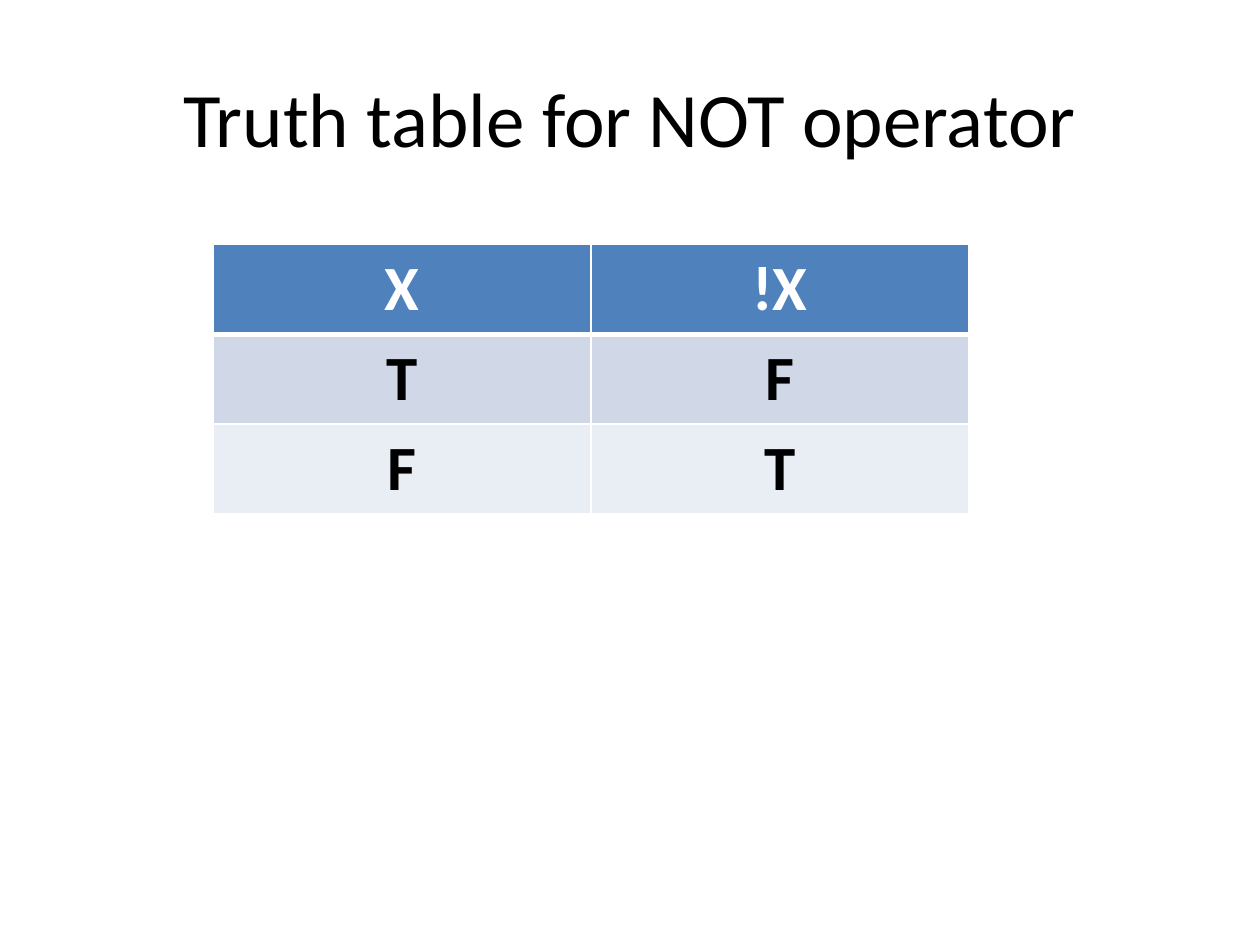
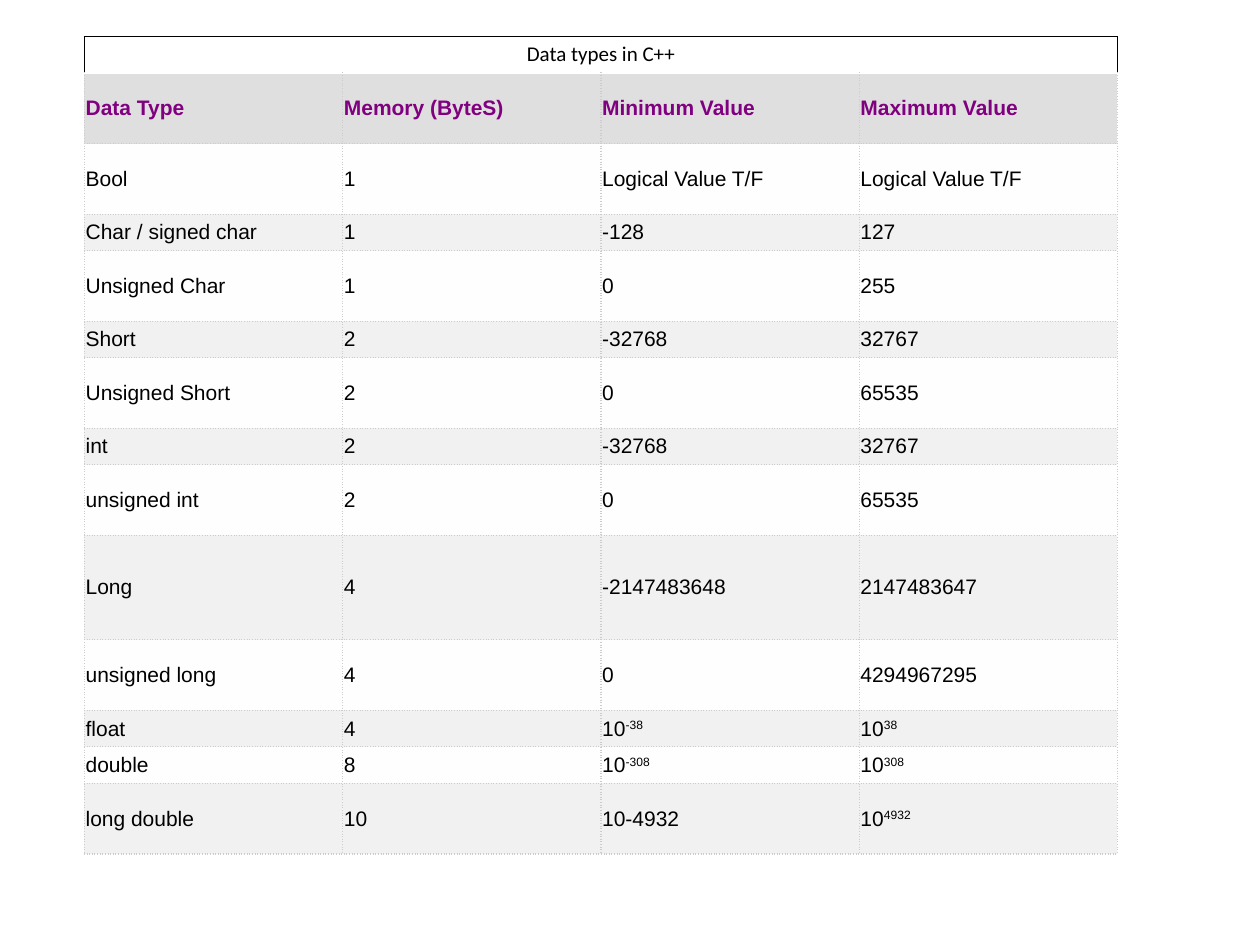
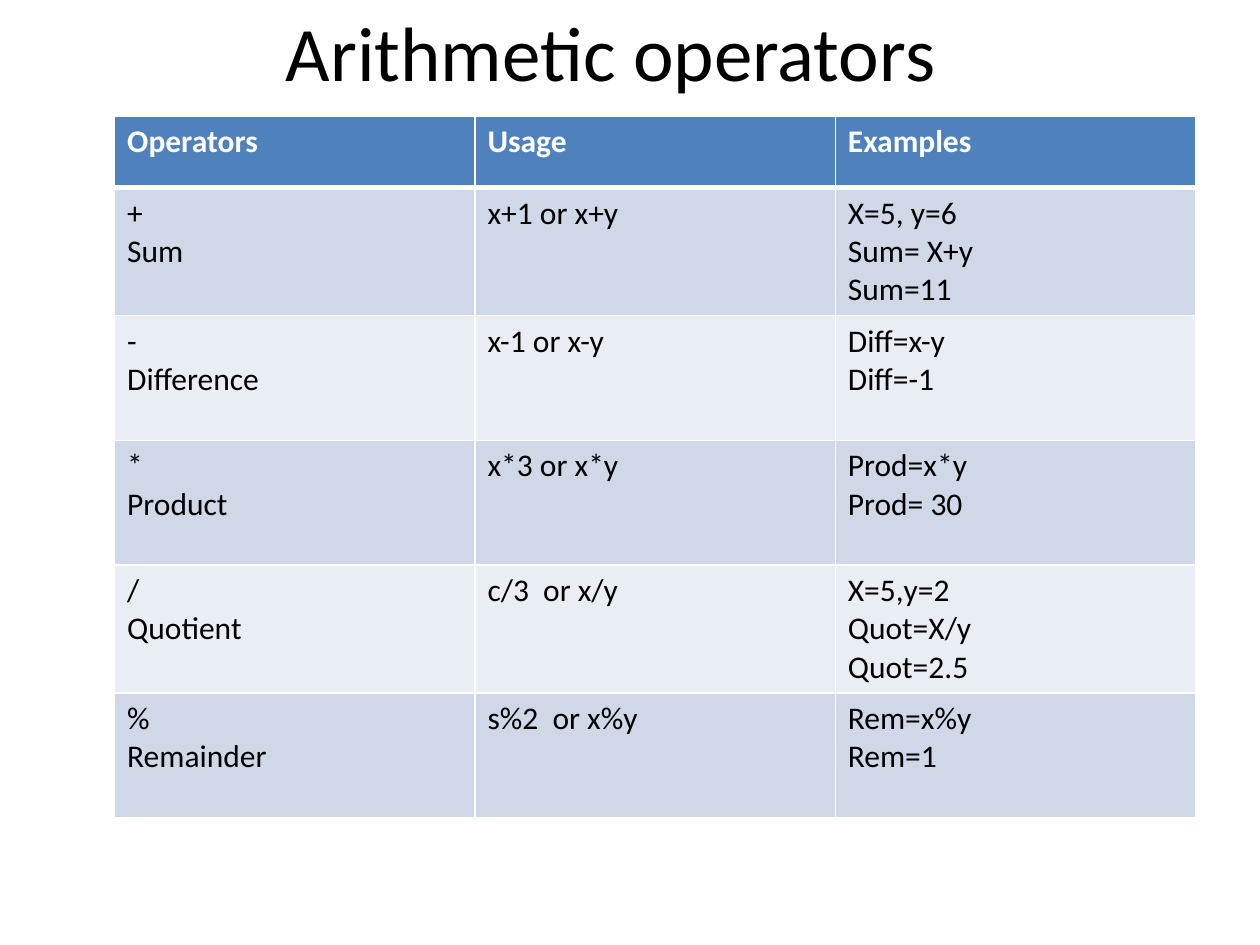
from lxml.etree import SubElement
from pptx import Presentation
from pptx.dml.color import RGBColor
from pptx.enum.text import MSO_ANCHOR, PP_ALIGN
from pptx.oxml.ns import qn
from pptx.util import Inches, Pt

BLACK = RGBColor(0x00, 0x00, 0x00)
WHITE = RGBColor(0xFF, 0xFF, 0xFF)
BLUE = RGBColor(0x4F, 0x81, 0xBD)
BLUE_BANDS = (RGBColor(0xD0, 0xD8, 0xE8), RGBColor(0xE9, 0xED, 0xF4))
PURPLE = RGBColor(0x80, 0x00, 0x80)
HEADER_GRAY = RGBColor(0xDF, 0xDF, 0xDF)
GRAY_BANDS = (RGBColor(0xFE, 0xFE, 0xFE), RGBColor(0xF1, 0xF1, 0xF1))
DOT_GRAY = RGBColor(0xCC, 0xCC, 0xCC)

THIN = (WHITE, 1, "solid")
THICK = (WHITE, 3, "solid")
FRAME = (BLACK, 1, "solid")
DOTTED = (DOT_GRAY, 0.75, "sysDot")

TRUTH_ROWS = [["X", "!X"], ["T", "F"], ["F", "T"]]

CAPTION = "Data types in C++"
TYPE_ROWS = [
    ["Data Type", "Memory (ByteS)", "Minimum Value", "Maximum Value"],
    ["Bool", "1", "Logical Value T/F", "Logical Value T/F"],
    ["Char / signed char", "1", "-128", "127"],
    ["Unsigned Char", "1", "0", "255"],
    ["Short", "2", "-32768", "32767"],
    ["Unsigned Short", "2", "0", "65535"],
    ["int", "2", "-32768", "32767"],
    ["unsigned int", "2", "0", "65535"],
    ["Long", "4", "-2147483648", "2147483647"],
    ["unsigned long", "4", "0", "4294967295"],
    ["float", "4", "10^-38", "10^38"],
    ["double", "8", "10^-308", "10^308"],
    ["long double", "10", "10-4932", "10^4932"],
]
LOW, MID, HIGH = 0.29, 0.56, 0.83
TYPE_HEIGHTS = [LOW, MID, MID, LOW, MID, LOW, MID, LOW, MID, HIGH, MID, LOW, LOW, MID]

OPERATOR_ROWS = [
    ["Operators", "Usage", "Examples"],
    ["+\nSum", "x+1 or x+y", "X=5, y=6\nSum= X+y\nSum=11"],
    ["-\nDifference", "x-1 or x-y", "Diff=x-y\nDiff=-1"],
    ["*\nProduct", "x*3 or x*y", "Prod=x*y\nProd= 30"],
    ["/\nQuotient", "c/3  or x/y", "X=5,y=2\nQuot=X/y\nQuot=2.5"],
    ["%\nRemainder", "s%2  or x%y", "Rem=x%y\nRem=1"],
]


class Deck:
    title_size = 44
    font = "Calibri"

    def __init__(self):
        self.prs = Presentation()
        self.prs.slide_width, self.prs.slide_height = Inches(10), Inches(7.5)
        self.s = None

    def slide(self, layout):
        self.s = self.prs.slides.add_slide(self.prs.slide_layouts.get_by_name(layout))

    def add_text(self, p, text, size, color, bold=False, font=None):
        r = p.add_run()
        r.text = text
        r.font.size, r.font.bold, r.font.name = Pt(size), bold, font or self.font
        r.font.color.rgb = color
        return r

    def title(self, text, left, top, width, height):
        sp = self.s.shapes.title
        sp.left, sp.top, sp.width, sp.height = map(Inches, (left, top, width, height))
        sp.text_frame.vertical_anchor = MSO_ANCHOR.MIDDLE
        p = sp.text_frame.paragraphs[0]
        p.alignment = PP_ALIGN.CENTER
        self.add_text(p, text, self.title_size, BLACK)

    def grid(self, left, top, columns, column_width, heights):
        box = map(Inches, (left, top, columns * column_width, sum(heights)))
        table = self.s.shapes.add_table(len(heights), columns, *box).table
        for column in table.columns:
            column.width = Inches(column_width)
        for row, height in zip(table.rows, heights):
            row.height = Inches(height)
        return table

    def borders(self, cell, edges):
        tc_pr = cell._tc.get_or_add_tcPr()
        for side in "LRTB":
            if side in edges:
                color, width, dash = edges[side]
                ln = SubElement(tc_pr, qn(f"a:ln{side}"), w=str(Pt(width)))
                fill = SubElement(ln, qn("a:solidFill"))
                SubElement(fill, qn("a:srgbClr"), val=str(color))
                SubElement(ln, qn("a:prstDash"), val=dash)

    def paint(self, cell, edges, fill=None):
        self.borders(cell, edges)
        if fill is None:
            cell.fill.background()
        else:
            cell.fill.solid()
            cell.fill.fore_color.rgb = fill

    def cell_text(self, cell, text, size, color, bold=False, font=None, align=PP_ALIGN.LEFT):
        tf = cell.text_frame
        for i, line in enumerate(text.split("\n")):
            p = tf.add_paragraph() if i else tf.paragraphs[0]
            p.alignment = align
            base, _, exponent = line.partition("^")
            self.add_text(p, base, size, color, bold, font)
            if exponent:
                r = self.add_text(p, exponent, size, color, bold, font)
                r._r.get_or_add_rPr().set("baseline", "30000")

    def tighten(self, cell):
        cell.vertical_anchor = MSO_ANCHOR.MIDDLE
        cell.margin_left = cell.margin_right = Inches(0.01)
        cell.margin_top = cell.margin_bottom = Inches(0.01)

    def blue_table(self, left, top, column_width, heights, rows, size,
                   align=PP_ALIGN.LEFT, bold_body=False):
        table = self.grid(left, top, len(rows[0]), column_width, heights)
        for i, row in enumerate(rows):
            header = i == 0
            edges = dict.fromkeys("LRTB", THIN)
            if i < 2:
                edges["B" if header else "T"] = THICK
            fill = BLUE if header else BLUE_BANDS[(i - 1) % 2]
            for j, text in enumerate(row):
                cell = table.cell(i, j)
                self.paint(cell, edges, fill)
                self.cell_text(cell, text, size, WHITE if header else BLACK,
                               header or bold_body, align=align)

    def captioned_table(self, left, top, column_width, heights, caption, rows, size):
        columns = len(rows[0])
        table = self.grid(left, top, columns, column_width, heights)
        first, last = table.cell(0, 0), table.cell(0, columns - 1)
        first.merge(last)
        for j in range(columns):
            edges = {"T": FRAME, "B": FRAME}
            if j == 0:
                edges.update(L=FRAME, R=FRAME)
            elif j == columns - 1:
                edges["R"] = FRAME
            self.paint(table.cell(0, j), edges)
        self.tighten(first)
        self.cell_text(first, caption, size, BLACK, align=PP_ALIGN.CENTER)
        for i, row in enumerate(rows):
            header = i == 0
            edges = dict.fromkeys("LRB" if header else "LRTB", DOTTED)
            fill = HEADER_GRAY if header else GRAY_BANDS[(i - 1) % 2]
            for j, text in enumerate(row):
                cell = table.cell(i + 1, j)
                self.paint(cell, edges, fill)
                self.tighten(cell)
                self.cell_text(cell, text, size, PURPLE if header else BLACK, header, "Arial")


def main():
    deck = Deck()

    deck.slide("Title Only")
    deck.title("Truth table for NOT operator", 0.5, 0.3, 9, 1.25)
    deck.blue_table(1.69, 1.94, 3, [0.7] * 3, TRUTH_ROWS, 36, PP_ALIGN.CENTER, True)

    deck.slide("Blank")
    deck.captioned_table(0.67, 0.29, 2.05, TYPE_HEIGHTS, CAPTION, TYPE_ROWS, 12)

    deck.slide("Title Only")
    deck.title("Arithmetic operators", 0.35, -0.02, 9, 0.85)
    deck.blue_table(0.91, 0.92, 2.86, [0.57] + [0.99] * 5, OPERATOR_ROWS, 18)

    deck.prs.save("out.pptx")


if __name__ == "__main__":
    main()
